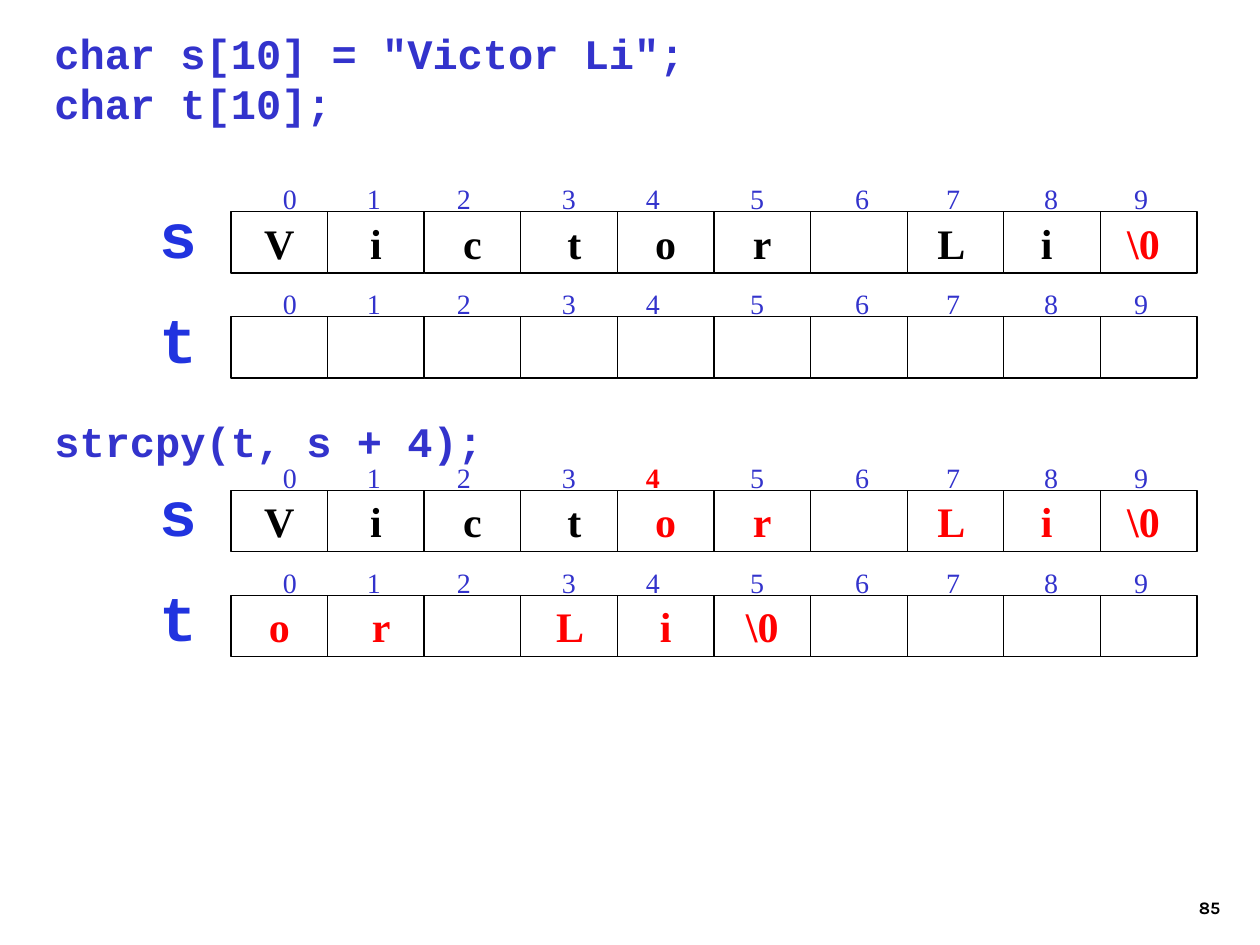
from pptx import Presentation
from pptx.dml.color import RGBColor as RGB
from pptx.enum.shapes import MSO_SHAPE as SHAPE
from pptx.enum.text import MSO_ANCHOR as ANCHOR, PP_ALIGN as ALIGN
from pptx.oxml.ns import qn
from pptx.util import Pt
from lxml.etree import SubElement

BLACK, RED = RGB(0, 0, 0), RGB(0xFF, 0, 0)
BLUE, LABEL_BLUE = RGB(0x33, 0x33, 0xCC), RGB(0x21, 0x33, 0xDF)
THEME = {
    "code": dict(name="Courier New", size=Pt(24), bold=True, color=BLUE),
    "label": dict(name="Courier New", size=Pt(36), bold=True, color=LABEL_BLUE),
    "index": dict(name="Times New Roman", size=Pt(16), bold=False, color=BLUE),
    "cell": dict(name="Times New Roman", size=Pt(24), bold=True, color=BLACK),
    "number": dict(name="Karla", size=Pt(10), bold=True, color=BLACK),
}


def add_run(p, text, style, **changes):
    r = p.add_run()
    r.text = text
    for key, value in {**THEME[style], **changes}.items():
        if key == "color":
            r.font.color.rgb = value
        else:
            setattr(r.font, key, value)


def add_box(shapes, box, lines=(), style="code", align=ALIGN.LEFT,
            anchor=ANCHOR.TOP, wrap=True):
    """Add a text box with one paragraph per line."""
    tf = shapes.add_textbox(*[Pt(v) for v in box]).text_frame
    tf.word_wrap, tf.vertical_anchor = wrap, anchor
    for i, line in enumerate(lines):
        p = tf.add_paragraph() if i else tf.paragraphs[0]
        p.alignment = align
        add_run(p, line, style)
    return tf


prs = Presentation()
prs.slide_width, prs.slide_height = Pt(720), Pt(540)
s = prs.slides.add_slide(prs.slide_layouts[6])

add_box(s.shapes, (554.4, 492, 150, 36), ["85"], "number", ALIGN.RIGHT, ANCHOR.BOTTOM)
add_box(s.shapes, (24, 12, 534, 122), ['char s[10] = "Victor Li";', "char t[10];"])
add_box(s.shapes, (24, 234, 534, 36), ["strcpy(t, s + 4);"])

# Arrays: name, top of the cells, cell texts, first red cell, highlighted index
LEFT, CELL_W, CELL_H = 132, 55.2, 35
INDEX_STOPS = [26.5, 74.5, 126, 186, 234, 293.5, 353.5, 405.5, 461.5, 513]
VICTOR = ["V", "i", "c", " t", "o", "r", "", "L ", "i ", "\\0 "]
COPIED = [" o ", " r", "", " L ", " i ", " \\0 ", "", "", "", ""]
ARRAYS = [
    ("s", 121, VICTOR, 9, None),
    ("t", 181, [""] * 10, 10, None),
    ("s", 280.3, VICTOR, 4, 4),
    ("t", 340.3, COPIED, 0, None),
]

for name, top, cells, first_red, marked in ARRAYS:
    add_box(s.shapes, (84, top - 13, 36, 50), [name], "label", ALIGN.RIGHT, wrap=False)

    group = s.shapes.add_group_shape()
    tf = add_box(group.shapes, (LEFT, top - 25, 10 * CELL_W, CELL_H), anchor=ANCHOR.MIDDLE)
    p = tf.paragraphs[0]
    tabs = SubElement(p._p.get_or_add_pPr(), qn("a:tabLst"))
    for i, stop in enumerate(INDEX_STOPS):
        SubElement(tabs, qn("a:tab"), pos=str(int(Pt(stop))), algn="ctr")
        highlight = dict(bold=True, color=RED) if i == marked else {}
        add_run(p, f"\t{i}", "index", **highlight)

    for i, text in enumerate(cells):
        sp = group.shapes.add_shape(SHAPE.RECTANGLE, Pt(LEFT + i * CELL_W), Pt(top),
                                    Pt(CELL_W), Pt(CELL_H))
        sp.shadow.inherit = False
        sp.fill.background()
        sp.line.color.rgb, sp.line.width = BLACK, Pt(0.75)
        if text:
            tf = sp.text_frame
            tf.word_wrap, tf.vertical_anchor = False, ANCHOR.MIDDLE
            tf.paragraphs[0].alignment = ALIGN.CENTER
            add_run(tf.paragraphs[0], text, "cell", color=RED if i >= first_red else BLACK)

prs.save("out.pptx")
